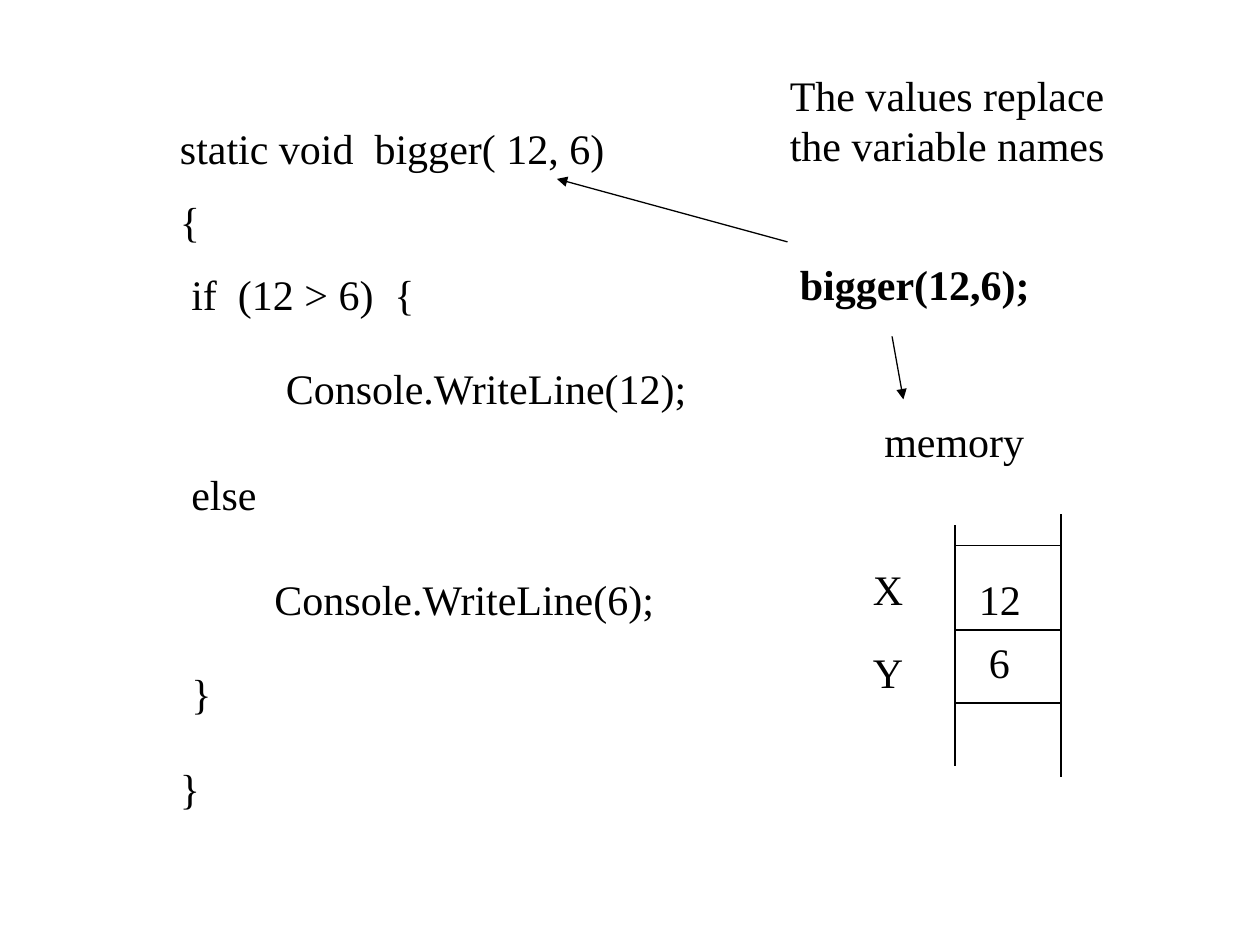
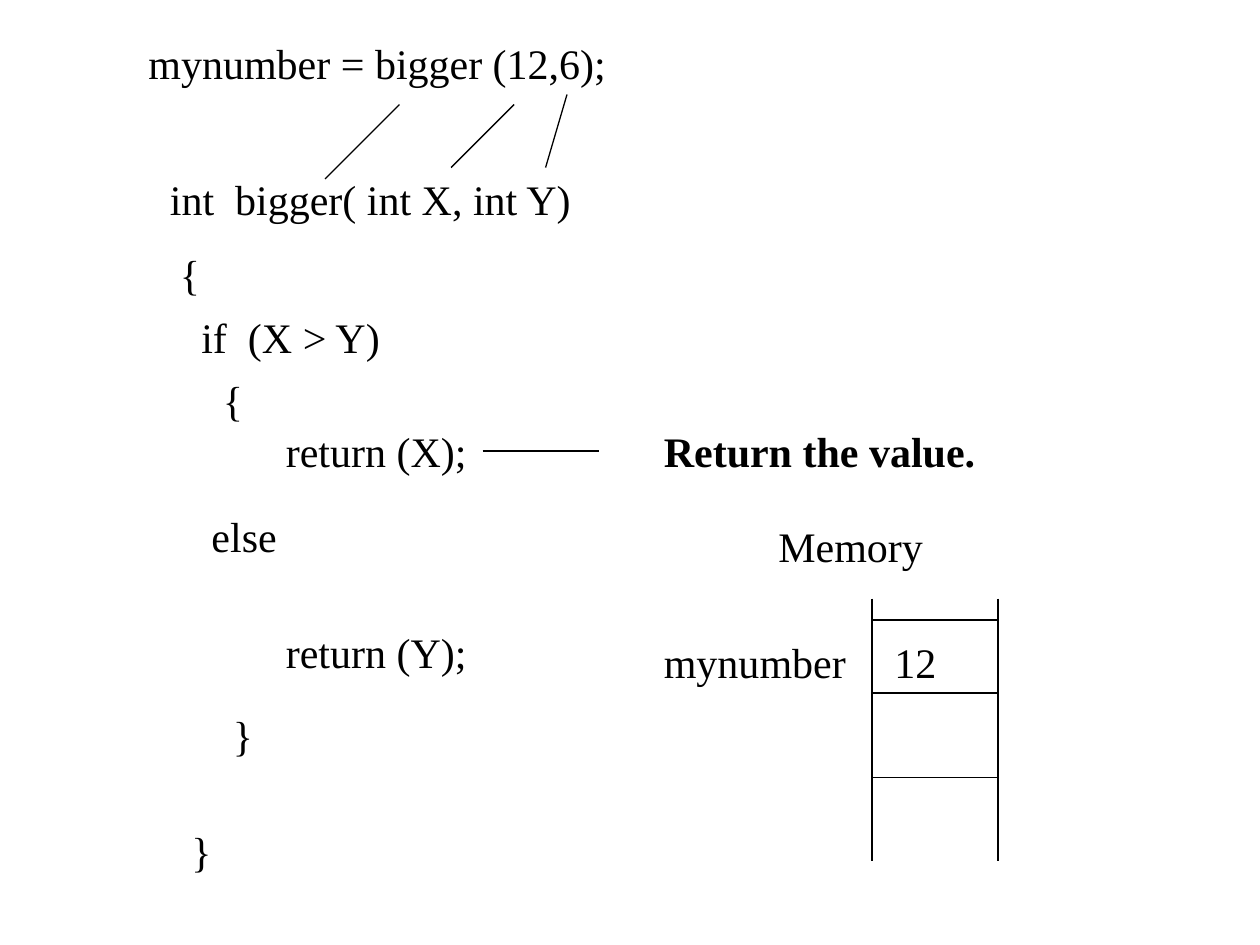
"""Build two slides that trace a method call, its returned value and memory."""
from pptx import Presentation
from pptx import util as u
from pptx.dml.color import RGBColor
from pptx.enum import shapes, text
from pptx.oxml.ns import qn
from lxml import etree

COLORS = {"ink": "000000", "paper": "FFFFFF"}
FONT = "Times New Roman"
TEXT_SIZE = 24
LINE_HEIGHT = 0.4
PADDING = 0.1

SLIDES = [
    {
        "code": [
            ("static void  bigger( 12, 6)", 1.33, 0.92, 4.25),
            ("{", 1.33, 1.5, 0.67),
            ("if  (12 > 6)  {", 1.42, 2.08, 2.33),
            ("Console.WriteLine(12);", 2.17, 2.83, 3.67),
            ("else", 1.42, 3.67, 1.08),
            ("Console.WriteLine(6);", 2.08, 4.5, 3.42),
            ("}", 1.42, 5.25, 1.25),
            ("}", 1.33, 6, 2.08),
        ],
        "notes": [
            ("The values replace the variable names", 6.17, 0.5, 2.83, 2),
            ("memory", 6.92, 3.25, 2.25),
            ("X", 6.83, 4.42, 0.5),
            ("Y", 6.83, 5.08, 0.5),
            ("12", 7.67, 4.5, 0.58),
            ("6", 7.75, 5, 0.58),
        ],
        "emphasis": ("bigger(12,6);", 6.25, 2, 2.08),
        "arrows": [((6.25, 1.92), (4.42, 1.42)), ((7.08, 2.67), (7.17, 3.17))],
        "links": [],
        "memory": {
            "sides": [(7.58, 4.17, 6.08), (8.42, 4.08, 6.17)],
            "rungs": [4.33, 5, 5.58],
        },
    },
    {
        "code": [
            ("mynumber = bigger (12,6);", 1.08, 0.25, 4.17),
            ("int  bigger( int X, int Y)", 1.25, 1.33, 3.58),
            ("{", 1.33, 1.92, 0.75),
            ("if  (X > Y)", 1.5, 2.42, 2.33),
            ("{", 1.67, 2.92, 0.58),
            ("return (X);", 2.17, 3.33, 2.25),
            ("else", 1.58, 4, 1.08),
            ("return (Y);", 2.17, 4.92, 2.42),
            ("}", 1.75, 5.58, 0.5),
            ("}", 1.42, 6.5, 2.08),
        ],
        "notes": [
            ("Memory", 6.08, 4.08, 3.33),
            ("mynumber", 5.17, 5, 1.75),
            ("12", 7, 5, 0.83),
        ],
        "emphasis": ("Return the value.", 5.17, 3.33, 2.75),
        "arrows": [],
        "links": [
            ((3.17, 0.83), (2.58, 1.42)),
            ((4.08, 0.83), (3.58, 1.33)),
            ((4.5, 0.75), (4.33, 1.33)),
            ((3.83, 3.58), (4.75, 3.58)),
        ],
        "memory": {
            "sides": [(6.92, 4.75, 6.83), (7.92, 4.75, 6.83)],
            "rungs": [4.92, 5.5, 6.17],
        },
    },
]


def color(name):
    return RGBColor.from_string(COLORS[name])


def add_label(slide, words, left, top, width, lines=1, bold=False):
    height = lines * LINE_HEIGHT + PADDING
    label = slide.shapes.add_textbox(*map(u.Inches, (left, top, width, height)))
    frame = label.text_frame
    frame.word_wrap = True
    frame.auto_size = text.MSO_AUTO_SIZE.SHAPE_TO_FIT_TEXT
    run = frame.paragraphs[0].add_run()
    run.text = words
    run.font.name = FONT
    run.font.size = u.Pt(TEXT_SIZE)
    run.font.bold = bold
    run.font.color.rgb = color("ink")


def add_line(slide, start, end, arrow=False):
    line = slide.shapes.add_connector(
        shapes.MSO_CONNECTOR.STRAIGHT, *map(u.Inches, (*start, *end)))
    line.line.color.rgb = color("ink")
    line.line.width = u.Pt(0.75)
    if arrow:
        etree.SubElement(line.line._get_or_add_ln(), qn("a:tailEnd"), type="triangle")
    etree.SubElement(line._element.spPr, qn("a:effectLst"))


def add_memory(slide, sides, rungs):
    for x, top, bottom in sides:
        add_line(slide, (x, top), (x, bottom))
    left, right = (side[0] for side in sides)
    for y in rungs:
        add_line(slide, (left, y), (right, y))


def build_slide(deck, content):
    slide = deck.slides.add_slide(deck.slide_layouts[6])
    slide.background.fill.solid()
    slide.background.fill.fore_color.rgb = color("paper")
    for label in content["code"] + content["notes"]:
        add_label(slide, *label)
    add_label(slide, *content["emphasis"], bold=True)
    add_memory(slide, **content["memory"])
    for start, end in content["links"]:
        add_line(slide, start, end)
    for start, end in content["arrows"]:
        add_line(slide, start, end, arrow=True)


def main():
    deck = Presentation()
    deck.slide_width, deck.slide_height = u.Inches(10), u.Inches(7.5)
    for content in SLIDES:
        build_slide(deck, content)
    deck.save("out.pptx")


if __name__ == "__main__":
    main()
